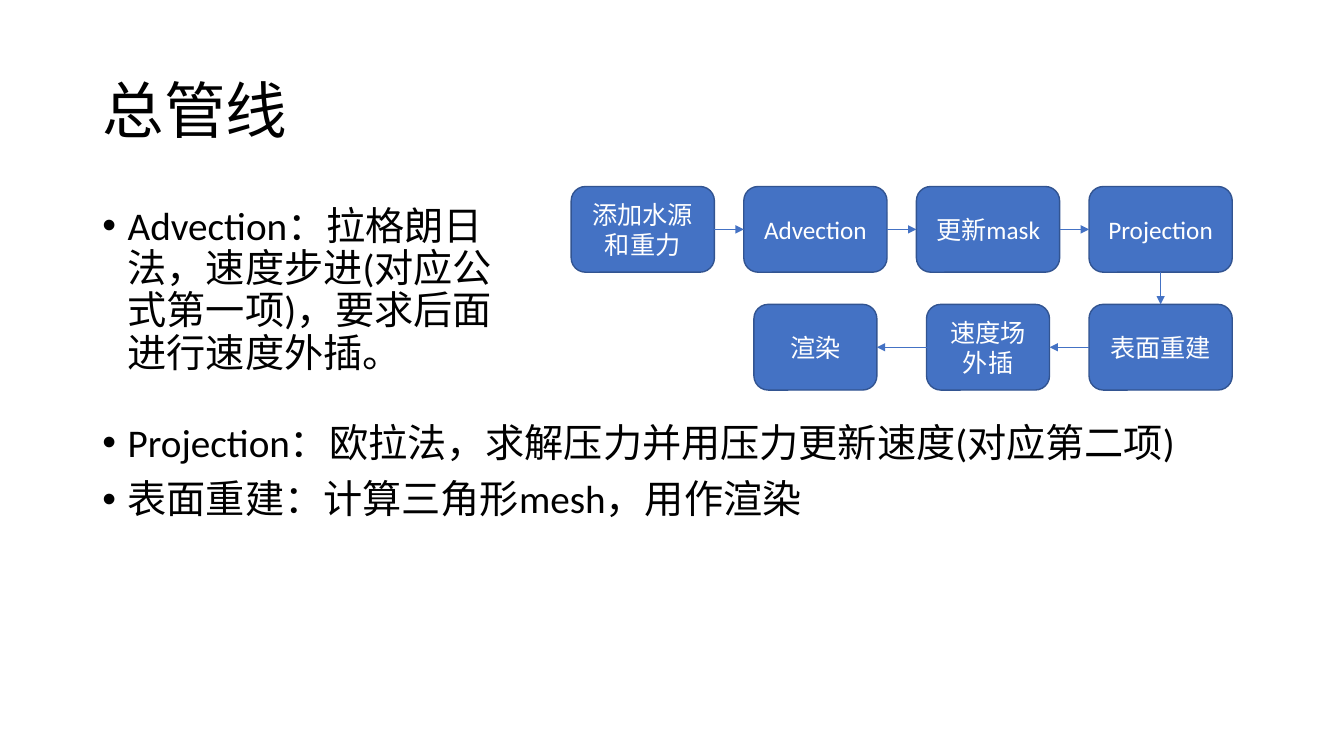
"""Build the pipeline overview slide with its flow diagram and notes."""
from dataclasses import dataclass

from lxml.etree import SubElement
from pptx import Presentation
from pptx.dml.color import RGBColor
from pptx.enum.shapes import MSO_CONNECTOR as Connector, MSO_SHAPE as Preset
from pptx.enum.text import MSO_ANCHOR as Anchor, PP_ALIGN as Align
from pptx.oxml.ns import qn
from pptx.shapes.autoshape import Shape
from pptx.slide import Slide
from pptx.text.text import _Paragraph as Paragraph
from pptx.util import Cm, Pt

FONT = "Calibri"
BLACK, WHITE, BLUE, DARK_BLUE = "000000", "FFFFFF", "4472C4", "325491"
FIRST_CENTRE, PITCH = 16.2, 4.35
ROW_TOPS = (4.7, 7.67)
STEP_HEIGHT = 2.16
TOP, LEFT, BOTTOM, RIGHT = range(4)


@dataclass
class Step:
    label: str
    column: int
    row: int
    width: float = 3.61


@dataclass
class Notes:
    left: float
    top: float
    width: float
    height: float
    lines: tuple[str, ...]


STEPS = (
    Step("添加水源和重力", 0, 0),
    Step("Advection", 1, 0),
    Step("更新mask", 2, 0),
    Step("Projection", 3, 0),
    Step("表面重建", 3, 1),
    Step("速度场外插", 2, 1, 3.1),
    Step("渲染", 1, 1, 3.1),
)
NOTES = (
    Notes(2.33, 5.07, 10.34, 12.09,
          ("Advection：拉格朗日法，速度步进(对应公式第一项)，要求后面进行速度外插。",)),
    Notes(2.33, 10.55, 29.16, 4.19,
          ("Projection：欧拉法，求解压力并用压力更新速度(对应第二项)",
           "表面重建：计算三角形mesh，用作渲染")),
)


def colour(value: str) -> RGBColor:
    return RGBColor.from_string(value)


def style(para: Paragraph, size: float, ink: str, align: Align) -> None:
    para.alignment = align
    para.font.name = FONT
    para.font.size = Pt(size)
    para.font.color.rgb = colour(ink)


def add_title(page: Slide, text: str) -> None:
    title = page.shapes.title
    title.left, title.top, title.width, title.height = Cm(2.33), Cm(1.01), Cm(29.21), Cm(3.68)
    title.text_frame.text = text
    title.text_frame.vertical_anchor = Anchor.MIDDLE
    para = title.text_frame.paragraphs[0]
    para.line_spacing = 0.9
    style(para, 44, BLACK, Align.LEFT)


def add_bullet(para: Paragraph) -> None:
    properties = para._p.get_or_add_pPr()
    properties.set("marL", str(Cm(0.64)))
    properties.set("indent", str(Cm(-0.64)))
    SubElement(properties, qn("a:buFont"), typeface="Arial")
    SubElement(properties, qn("a:buChar"), char="•")


def add_notes(page: Slide, notes: Notes) -> None:
    box = page.shapes.add_textbox(Cm(notes.left), Cm(notes.top), Cm(notes.width), Cm(notes.height))
    frame = box.text_frame
    frame.word_wrap = True
    frame.text = "\n".join(notes.lines)
    for para in frame.paragraphs:
        add_bullet(para)
        para.line_spacing = 0.9
        para.space_before = Pt(10)
        style(para, 28, BLACK, Align.LEFT)


def add_step(page: Slide, step: Step) -> Shape:
    left = FIRST_CENTRE + step.column * PITCH - step.width / 2
    box = page.shapes.add_shape(Preset.ROUNDED_RECTANGLE, Cm(left), Cm(ROW_TOPS[step.row]),
                                Cm(step.width), Cm(STEP_HEIGHT))
    box.shadow.inherit = False
    box.fill.solid()
    box.fill.fore_color.rgb = colour(BLUE)
    box.line.color.rgb = colour(DARK_BLUE)
    box.line.width = Pt(1)
    frame = box.text_frame
    frame.word_wrap = True
    frame.vertical_anchor = Anchor.MIDDLE
    frame.text = step.label
    style(frame.paragraphs[0], 18, WHITE, Align.CENTER)
    return box


def sides(start: Step, end: Step) -> tuple[int, int]:
    if start.row != end.row:
        return BOTTOM, TOP
    return (RIGHT, LEFT) if start.column < end.column else (LEFT, RIGHT)


def add_arrow(page: Slide, start: Shape, end: Shape, joints: tuple[int, int]) -> None:
    arrow = page.shapes.add_connector(Connector.STRAIGHT, 0, 0, 0, 0)
    arrow.begin_connect(start, joints[0])
    arrow.end_connect(end, joints[1])
    arrow.line.color.rgb = colour(BLUE)
    arrow.line.width = Pt(0.5)
    SubElement(arrow.line._get_or_add_ln(), qn("a:tailEnd"), type="triangle")
    SubElement(arrow._element.spPr, qn("a:effectLst"))


def main() -> None:
    deck = Presentation()
    deck.slide_width, deck.slide_height = Cm(33.87), Cm(19.05)
    page = deck.slides.add_slide(deck.slide_layouts.get_by_name("Title Only"))
    add_title(page, "总管线")
    boxes = [add_step(page, step) for step in STEPS]
    for index in range(len(STEPS) - 1):
        joints = sides(STEPS[index], STEPS[index + 1])
        add_arrow(page, boxes[index], boxes[index + 1], joints)
    for notes in NOTES:
        add_notes(page, notes)
    deck.save("out.pptx")


if __name__ == "__main__":
    main()
